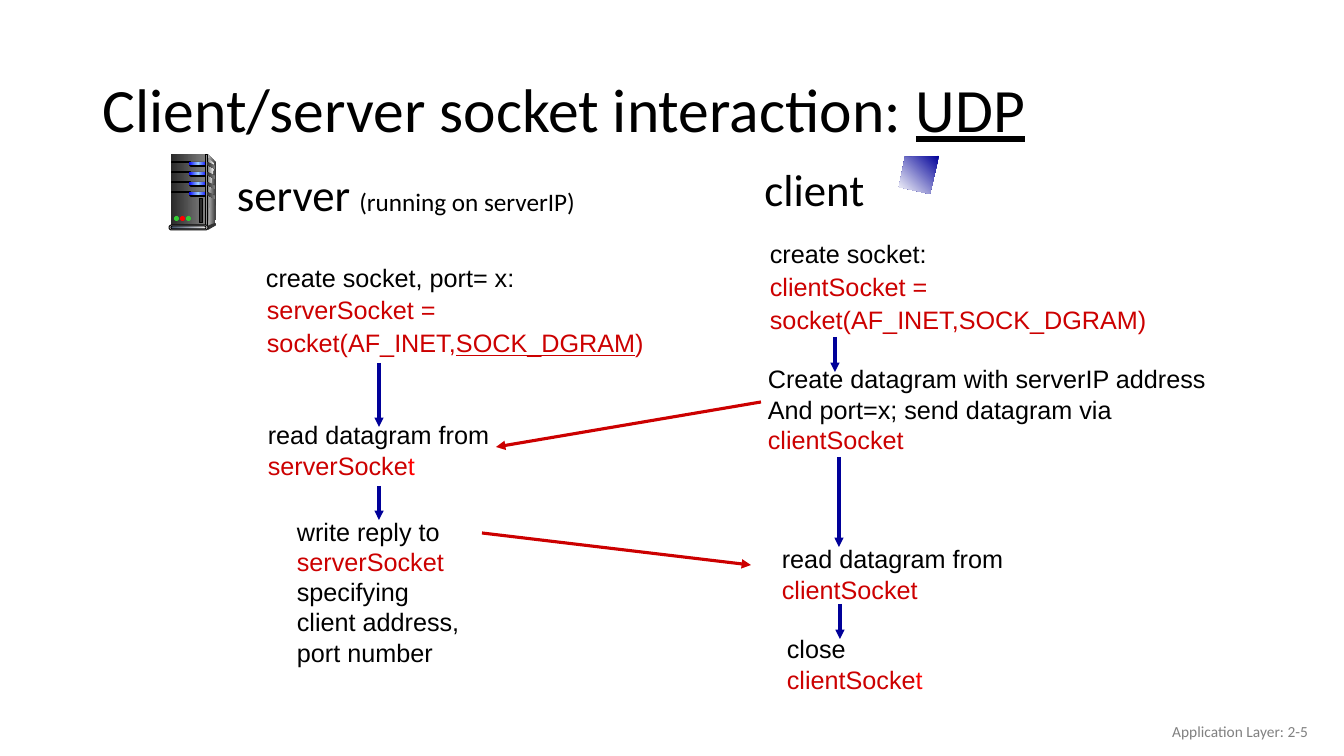
"""Builds a slide on how a UDP client and server interact through sockets."""
import copy

import lxml.etree
import pptx
import pptx.dml.color
import pptx.enum.shapes
import pptx.enum.text
import pptx.oxml.ns
import pptx.util

RGB = pptx.dml.color.RGBColor
BLACK = RGB(0, 0, 0)
WHITE = RGB(255, 255, 255)
RED = RGB(0xCC, 0, 0)
BRIGHT_RED = RGB(255, 0, 0)
GREEN = RGB(0x33, 0xCC, 0x33)
NAVY = RGB(0, 0, 0x99)
BLUE = RGB(0, 0, 255)
SKY = RGB(0x99, 0xCC, 0xFF)
SLATE = RGB(0x44, 0x54, 0x6A)
COAL = RGB(0x29, 0x29, 0x29)
DARK = RGB(0x33, 0x33, 0x33)
GRAY = RGB(0x80, 0x80, 0x80)
SILVER = RGB(0xDD, 0xDD, 0xDD)
PALE = RGB(0xE7, 0xE6, 0xE6)
BRIGHT = RGB(0xF8, 0xF8, 0xF8)

EMU_PER_PX = 914400 / 100.8
SLIDE_SIZE = (1344, 756)
ALIGN = pptx.enum.text.PP_ALIGN
KIND = pptx.enum.shapes.MSO_SHAPE

TITLE = [[("Client/server socket interaction: ", BLACK, 44), ("UDP", BLACK, 44, True)]]
FOOTER = [[("Application Layer: 2-5", GRAY, 11)]]
HEADINGS = [
    ((225, 161, 362, 65), [[("server", BLACK, 32), (" ", BLACK, 28), ("(running on serverIP)", BLACK)]]),
    ((754, 156, 121, 65), [[("client", BLACK, 32)]]),
]
STEPS = [
    ((256, 257, 271, 40), [[("create socket, port= x:", BLACK)]]),
    ((258, 414, 244, 72), [[("read datagram from", BLACK)],
                           [("serverSocke", RED), ("t", BRIGHT_RED)]]),
    ((287, 510, 185, 163), [[("write reply to", BLACK)], [("serverSocket", RED)],
                            [("specifying", BLACK)], [("client address,", BLACK)],
                            [("port number", BLACK)]]),
    ((760, 233, 178, 40), [[("create socket:", BLACK)]]),
    ((758, 358, 463, 102), [[("Create datagram with serverIP address", BLACK)],
                            [("And port=x; send datagram via", BLACK)],
                            [("clientSocket", RED)]]),
    ((772, 538, 244, 72), [[("read datagram from", BLACK)], [("clientSocket", RED)]]),
    ((777, 628, 157, 72), [[("close", BLACK)],
                           [("clientSocke", RED), ("t", BRIGHT_RED)]]),
]
SOCKET_CALLS = [
    ((257, 290, 401, 74), [[("serverSocket =", RED)],
                           [("socket(AF_INET,", RED), ("SOCK_DGRAM", RED, 18, True), (")", RED)]]),
    ((760, 267, 401, 74), [[("clientSocket =", RED)],
                           [("socket(AF_INET,SOCK_DGRAM)", RED)]]),
]
ARROWS = [
    (NAVY, 379, 363, 379, 427), (NAVY, 379, 486, 379, 520),
    (NAVY, 835, 337, 835, 372), (NAVY, 839, 457, 839, 547),
    (NAVY, 840, 604, 840, 639),
    (RED, 761, 402, 496, 447), (RED, 482, 533, 751, 565),
]

SERVER_BACK = [(208, 154), (216, 163), (215, 224), (206, 227)]
SERVER_EDGE = [(208, 158), (214, 164), (210, 190), (208, 225)]
SERVER_FOOT = [(207, 226), (208, 230), (215, 226), (215, 223)]
SIDE_SLAT = [(207, 162), (215, 166), (215, 169), (207, 165)]
SLOT_TOPS = [162 + 10 * number for number in range(4)]
LIGHTS = [(174, GREEN), (180, BRIGHT_RED), (186, GREEN)]
CLIENT_SCREEN = [(939, 156), (905, 157), (899, 187), (930, 194)]

deck = pptx.Presentation()
deck.slide_width, deck.slide_height = [round(side * EMU_PER_PX) for side in SLIDE_SIZE]
page = deck.slides.add_slide(deck.slide_layouts[6])


def emu(*lengths):
    return [round(length * EMU_PER_PX) for length in lengths]


def add_text(place, lines, font="Arial", align=ALIGN.LEFT, wrap=False, leading=None, gap=0):
    frame = page.shapes.add_textbox(*emu(*place)).text_frame
    frame.word_wrap = wrap
    if not wrap:
        frame.auto_size = pptx.enum.text.MSO_AUTO_SIZE.SHAPE_TO_FIT_TEXT
    frame.vertical_anchor = pptx.enum.text.MSO_ANCHOR.MIDDLE
    for index, line in enumerate(lines):
        para = frame.add_paragraph() if index else frame.paragraphs[0]
        para.alignment = align
        if leading:
            para.line_spacing = leading
        if index and gap:
            para.space_before = pptx.util.Pt(gap)
        for text, colour, *style in line:
            span = para.add_run()
            span.text = text
            span.font.name = font
            span.font.color.rgb = colour
            span.font.size = pptx.util.Pt(style[0] if style else 18)
            if len(style) > 1:
                span.font.underline = style[1]


def paint(shape, colours, outlined=False, angle=0):
    shape.shadow.inherit = False
    fill = shape.fill
    if len(colours) == 1:
        fill.solid()
        fill.fore_color.rgb = colours[0]
    else:
        fill.gradient()
        fill.gradient_angle = angle
        stop_list = shape._element.spPr.find(".//" + pptx.oxml.ns.qn("a:gsLst"))
        for _ in colours[2:]:
            stop_list.append(copy.deepcopy(stop_list[-1]))
        for index, (stop, colour) in enumerate(zip(fill.gradient_stops, colours)):
            stop.position = index / (len(colours) - 1)
            stop.color.rgb = colour
    if outlined:
        shape.line.color.rgb = BLACK
        shape.line.width = pptx.util.Pt(0.75)
    else:
        shape.line.fill.background()


def add_part(kind, place, *colours, outlined=False):
    shape = page.shapes.add_shape(kind, *emu(*place))
    if kind == KIND.ROUNDED_RECTANGLE:
        shape.adjustments[0] = 0.5
    paint(shape, colours, outlined)


def add_outline(points, *colours, angle=0):
    builder = page.shapes.build_freeform(*points[0], scale=EMU_PER_PX)
    builder.add_line_segments(points[1:], close=True)
    paint(builder.convert_to_shape(), colours, angle=angle)


def add_arrow(colour, *ends):
    arrow = page.shapes.add_connector(pptx.enum.shapes.MSO_CONNECTOR.STRAIGHT, *emu(*ends))
    arrow.line.color.rgb = colour
    arrow.line.width = pptx.util.Pt(2.25)
    properties = arrow._element.spPr
    line = properties.find(pptx.oxml.ns.qn("a:ln"))
    lxml.etree.SubElement(line, pptx.oxml.ns.qn("a:tailEnd"), type="triangle")
    lxml.etree.SubElement(properties, pptx.oxml.ns.qn("a:effectLst"))


def add_server():
    add_outline(SERVER_BACK, SILVER, DARK)
    add_part(KIND.RECTANGLE, (171, 154, 35, 73), COAL, GRAY)
    add_outline(SERVER_EDGE, GRAY, BRIGHT)
    for top in SLOT_TOPS:
        add_part(KIND.RECTANGLE, (172, top, 19, 1), BLACK, outlined=True)
        add_part(KIND.ROUNDED_RECTANGLE, (189, top, 19, 5), BLACK)
        add_part(KIND.ROUNDED_RECTANGLE, (189, top, 18, 3), BLUE, SKY, BLUE)
    add_part(KIND.RECTANGLE, (206, 154, 2, 73), DARK, SILVER, DARK, outlined=True)
    for top in SLOT_TOPS:
        add_outline([(x, y + top - SLOT_TOPS[0]) for x, y in SIDE_SLAT], COAL, GRAY)
    add_part(KIND.OVAL, (214, 223, 2, 3), DARK)
    add_outline(SERVER_FOOT, DARK)
    add_part(KIND.ROUNDED_RECTANGLE, (169, 225, 39, 5), SILVER, outlined=True)
    add_part(KIND.ROUNDED_RECTANGLE, (171, 226, 35, 3), SLATE, PALE, outlined=True)
    for left, colour in LIGHTS:
        add_part(KIND.OVAL, (left, 216, 5, 5), colour)
    add_part(KIND.RECTANGLE, (200, 199, 3, 24), COAL, outlined=True)


add_text((93, 40, 1159, 146), TITLE, "Calibri", wrap=True, leading=0.9)
for place, lines in STEPS:
    add_text(place, lines)
for place, lines in SOCKET_CALLS:
    add_text(place, lines, leading=pptx.util.Pt(20), gap=3.6)
for arrow_ends in ARROWS:
    add_arrow(*arrow_ends)
for place, lines in HEADINGS:
    add_text(place, lines, "Calibri", ALIGN.CENTER)
add_server()
add_outline(CLIENT_SCREEN, NAVY, WHITE, angle=225)
add_text((1016, 711, 302, 40), FOOTER, "Calibri", ALIGN.RIGHT, wrap=True)
deck.save("out.pptx")
